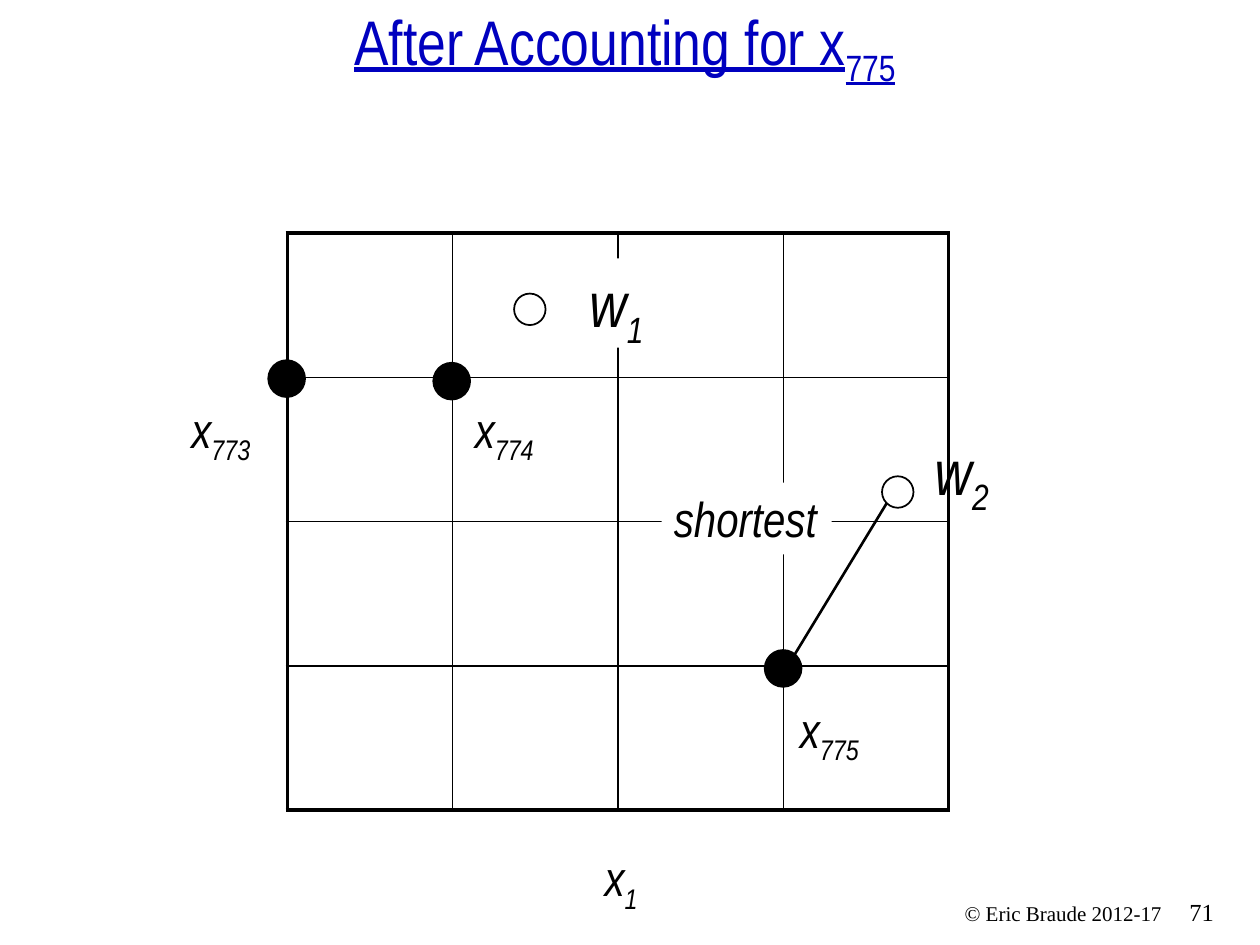
from dataclasses import dataclass
from lxml.etree import SubElement
from pptx import Presentation
from pptx.dml.color import RGBColor
from pptx.enum.shapes import MSO_CONNECTOR, MSO_SHAPE
from pptx.enum.text import MSO_ANCHOR, MSO_AUTO_SIZE, PP_ALIGN
from pptx.oxml.ns import qn
from pptx.util import Emu, Pt


@dataclass(frozen=True)
class Theme:
    black: RGBColor = RGBColor(0, 0, 0)
    white: RGBColor = RGBColor(255, 255, 255)
    blue: RGBColor = RGBColor(0, 0, 0xBF)
    narrow: str = "Arial Narrow"
    serif: str = "Times New Roman"
    big: int = 36
    label: int = 28
    number: int = 14
    footer: int = 12
    thin: float = 1
    edge: float = 1.5
    frame: float = 2.25
    dot: float = 4


T = Theme()
SCALE = 9144
SIZE = (1000, 750)
GRID_AT = (228, 185, 525, 458)
GRID_N = 4
DOT = 25

TITLE = ("After Accounting for x", "775", (0, 21, 992, 54))
FOOTERS = [
    ("71", (934, 707, 58, 33), T.number, PP_ALIGN.LEFT),
    ("© Eric Braude 2012-17", (665, 710, 267, 30), T.footer, PP_ALIGN.RIGHT),
]
LABELS = [
    ("x", "1", (470, 668, 67, 57), T.label, True, False),
    ("w", "1", (458, 205, 65, 71), T.big, False, True),
    ("w", "2", (732, 338, 65, 71), T.big, False, False),
    ("shortest", "", (525, 383, 135, 57), T.label, False, True),
    ("x", "775", (625, 550, 83, 57), T.label, True, False),
    ("x", "773", (142, 312, 92, 57), T.label, True, False),
    ("x", "774", (367, 312, 100, 57), T.label, True, False),
]
WEIGHTS = [(408, 233), (700, 378)]
INPUTS = [(609, 518), (215, 288), (346, 290)]
SHORTEST = (631, 519, 704, 399)


def px(*values):
    return [Emu(v * SCALE) for v in values]


def add_text(s, text, sub, at, size, font=T.narrow, color=T.black,
             align=PP_ALIGN.LEFT, wrap=True):
    sp = s.shapes.add_textbox(*px(*at))
    tf = sp.text_frame
    tf.word_wrap = wrap
    tf.auto_size = MSO_AUTO_SIZE.SHAPE_TO_FIT_TEXT
    p = tf.paragraphs[0]
    p.alignment = align
    p.font.name, p.font.size = font, Pt(size)
    p.font.color.rgb = color
    p.add_run().text = text
    if sub:
        r = p.add_run()
        r.text = sub
        r.font._element.set("baseline", "-25000")
    for r in p.runs:
        r.font.name, r.font.size = font, Pt(size)
        r.font.color.rgb = color
    return sp


def add_title(s):
    text, sub, at = TITLE
    sp = add_text(s, text, sub, at, T.big, color=T.blue, align=PP_ALIGN.CENTER)
    sp.text_frame.auto_size = MSO_AUTO_SIZE.NONE
    sp.text_frame.vertical_anchor = MSO_ANCHOR.BOTTOM
    for r in sp.text_frame.paragraphs[0].runs:
        r.font.underline = True


def add_label(s, text, sub, at, size, wrap, filled):
    sp = add_text(s, text, sub, at, size, wrap=wrap)
    for r in sp.text_frame.paragraphs[0].runs:
        r.font.italic = True
    if filled:
        sp.fill.solid()
        sp.fill.fore_color.rgb = T.white


def set_borders(cell, outer):
    tcPr = cell._tc.get_or_add_tcPr()
    for side, is_outer in outer.items():
        width = T.frame if is_outer else T.thin
        ln = SubElement(tcPr, qn(f"a:ln{side}"), w=str(Pt(width)))
        fill = SubElement(ln, qn("a:solidFill"))
        SubElement(fill, qn("a:srgbClr"), val=str(T.black))


def add_grid(s):
    frame = s.shapes.add_table(GRID_N, GRID_N, *px(*GRID_AT))
    table = frame.table
    table.first_row = table.horz_banding = False
    last = GRID_N - 1
    for i in range(GRID_N):
        table.columns[i].width = frame.width // GRID_N
        table.rows[i].height = frame.height // GRID_N
        for j in range(GRID_N):
            cell = table.cell(i, j)
            set_borders(cell, {"L": j == 0, "R": j == last,
                               "T": i == 0, "B": i == last})
            cell.fill.background()


def add_dot(s, at, fill, width):
    sp = s.shapes.add_shape(MSO_SHAPE.OVAL, *px(*at, DOT, DOT))
    sp.shadow.inherit = False
    sp.fill.solid()
    sp.fill.fore_color.rgb = fill
    sp.line.color.rgb = T.black
    sp.line.width = Pt(width)


def add_edge(s):
    c = s.shapes.add_connector(MSO_CONNECTOR.STRAIGHT, *px(*SHORTEST))
    c.line.color.rgb = T.black
    c.line.width = Pt(T.edge)
    SubElement(c._element.spPr, qn("a:effectLst"))


def main():
    prs = Presentation()
    prs.slide_width, prs.slide_height = px(*SIZE)
    s = prs.slides.add_slide(prs.slide_layouts[6])
    for text, at, size, align in FOOTERS:
        add_text(s, text, "", at, size, font=T.serif, align=align)
    add_title(s)
    add_grid(s)
    for at in WEIGHTS:
        add_dot(s, at, T.white, T.thin)
    for label in LABELS:
        add_label(s, *label)
    add_edge(s)
    for at in INPUTS:
        add_dot(s, at, T.black, T.dot)
    prs.save("out.pptx")


if __name__ == "__main__":
    main()
